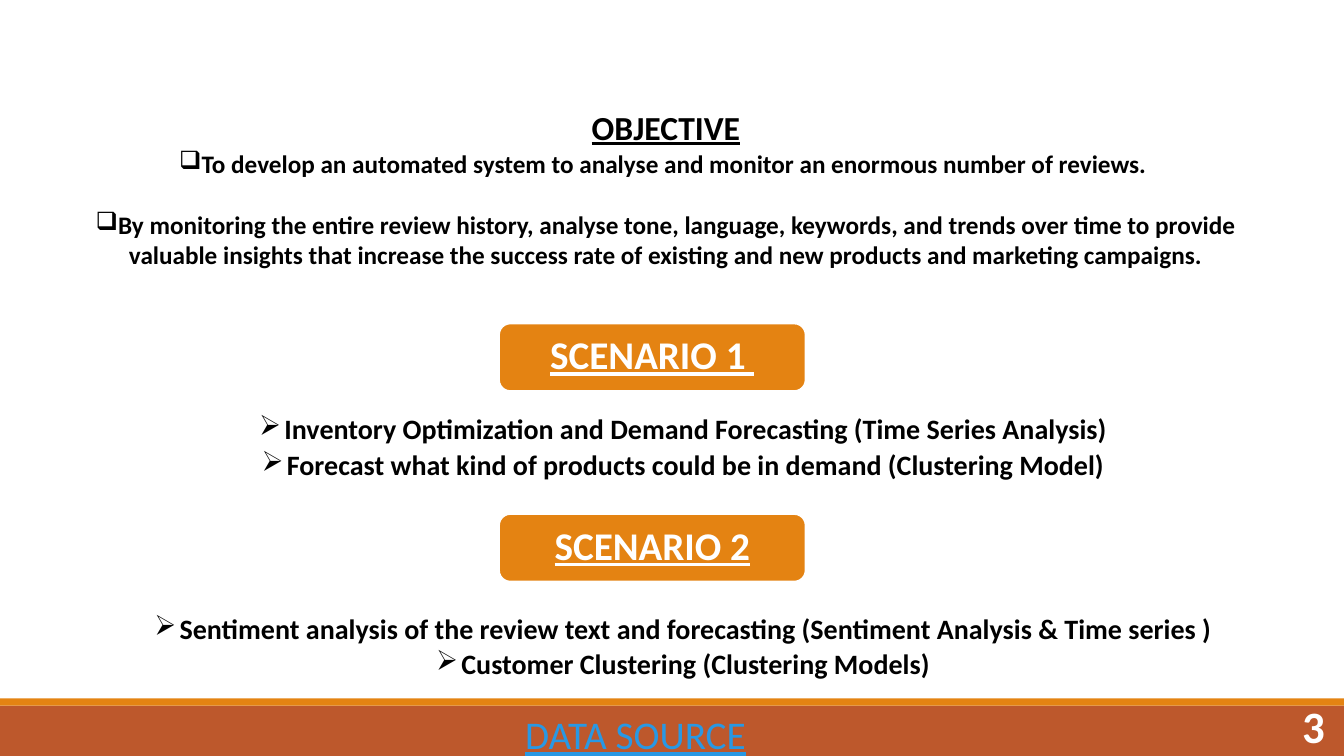
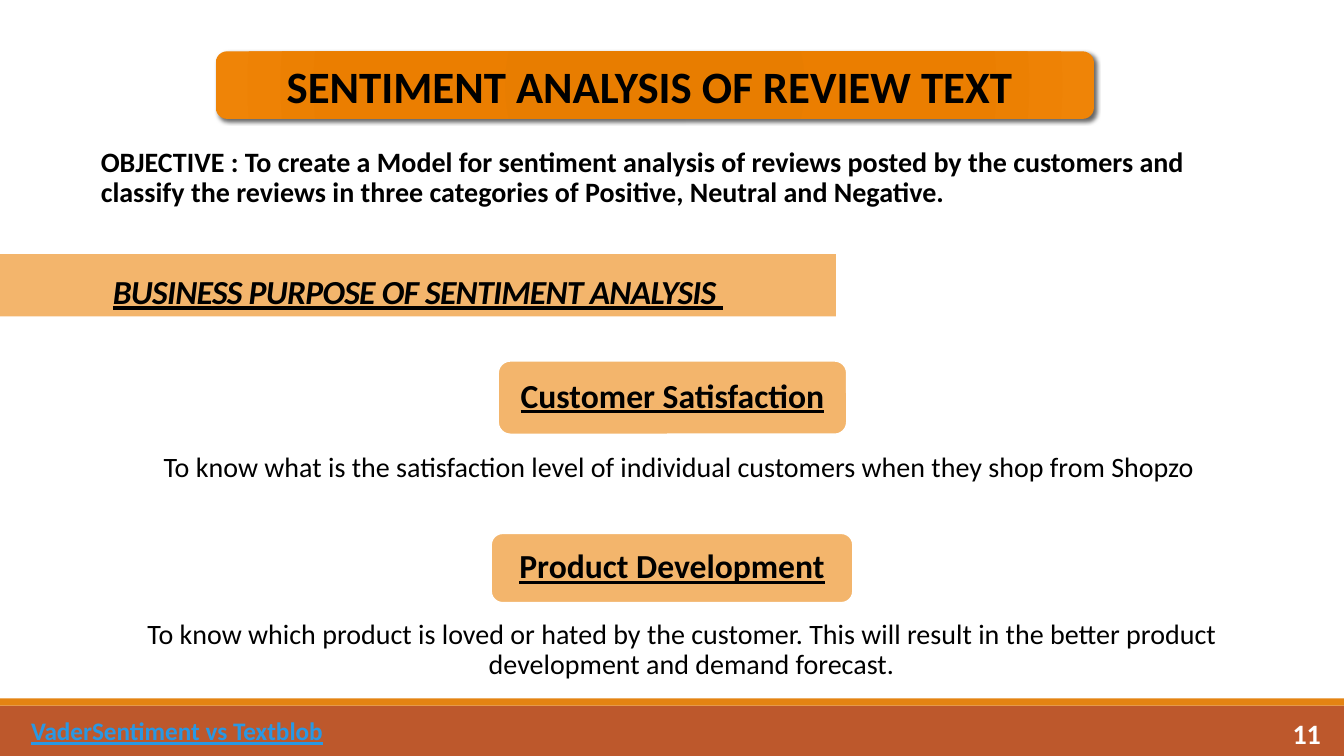
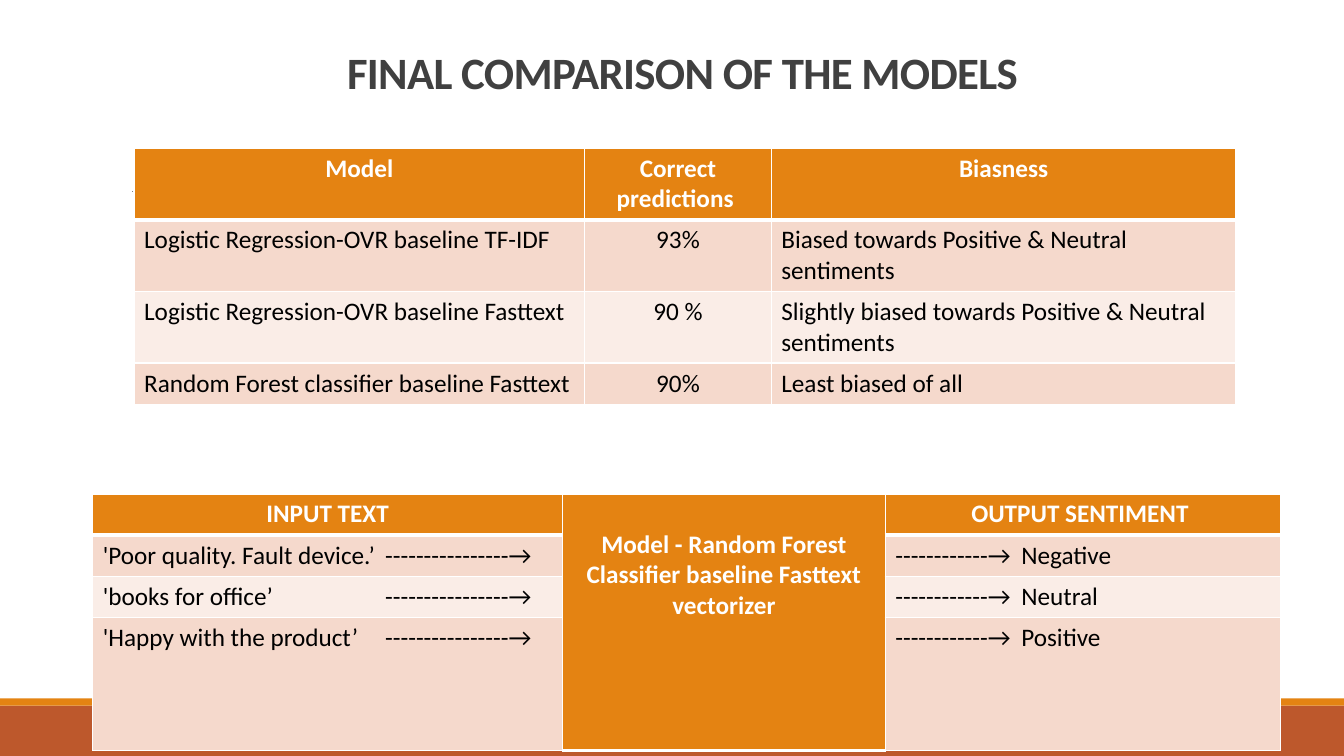
from dataclasses import dataclass

from lxml.etree import SubElement
from pptx import Presentation
from pptx.dml.color import RGBColor
from pptx.enum.shapes import MSO_CONNECTOR, MSO_SHAPE
from pptx.enum.text import MSO_ANCHOR, PP_ALIGN
from pptx.oxml import parse_xml
from pptx.oxml.ns import nsdecls, qn
from pptx.util import Inches, Pt


@dataclass(frozen=True)
class Theme:
    font: str = "Calibri"
    black: str = "000000"
    white: str = "FFFFFF"
    heading: str = "404040"
    rule: str = "808080"
    link: str = "2998E3"
    orange: str = "E48312"
    light_orange: str = "F3B56C"
    rust: str = "BD582C"
    odd_row: str = "F5D9CC"
    even_row: str = "FAEDE7"
    hero_stops: tuple = ((0, "E57B00"), (34, "E87D00"), (70, "EB7E00"), (100, "EF8407"))
    title: int = 32
    badge: int = 28
    subtitle: int = 24
    body: int = 20
    small: int = 18


THEME = Theme()


@dataclass(frozen=True)
class Style:
    size: int
    color: str = THEME.black
    bold: bool = False
    italic: bool = False
    underline: bool = False
    tracking: float = 0


def format_paragraph(paragraph, style, align=PP_ALIGN.LEFT, line_spacing=1.0):
    paragraph.alignment = align
    paragraph.line_spacing = line_spacing
    for run in paragraph.runs:
        font = run.font
        font.name = THEME.font
        font.size = Pt(style.size)
        font.color.rgb = RGBColor.from_string(style.color)
        font.bold = style.bold
        font.italic = style.italic
        font.underline = style.underline
        if style.tracking:
            font._element.set("spc", str(int(style.tracking * 100)))


def fill_text(shape, lines, style, align=PP_ALIGN.LEFT, anchor=MSO_ANCHOR.TOP,
              line_spacing=1.0, insets=(0.1, 0.05, 0.1, 0.05)):
    frame = shape.text_frame
    frame.text = "\n".join(lines)
    frame.word_wrap = True
    frame.vertical_anchor = anchor
    frame.margin_left, frame.margin_top, frame.margin_right, frame.margin_bottom = map(Inches, insets)
    for paragraph in frame.paragraphs:
        format_paragraph(paragraph, style, align, line_spacing)
    return frame.paragraphs


def set_bullet(paragraph, character):
    SubElement(paragraph._p.get_or_add_pPr(), qn("a:buChar")).set("char", character)


def set_hanging(paragraph, indent):
    properties = paragraph._p.get_or_add_pPr()
    properties.set("marL", str(Inches(indent)))
    properties.set("indent", str(-Inches(indent)))


def add_text(slide, box, lines, style, **options):
    shape = slide.shapes.add_textbox(*map(Inches, box))
    return fill_text(shape, lines, style, **options)


def add_block(slide, kind, box, color, outline=None):
    shape = slide.shapes.add_shape(kind, *map(Inches, box))
    shape.shadow.inherit = False
    shape.fill.solid()
    shape.fill.fore_color.rgb = RGBColor.from_string(color)
    if outline:
        shape.line.color.rgb = RGBColor.from_string(outline)
        shape.line.width = Pt(1.25)
    else:
        shape.line.fill.background()
    return shape


def add_badge(slide, box, text, color, style):
    shape = add_block(slide, MSO_SHAPE.ROUNDED_RECTANGLE, box, color, THEME.white)
    fill_text(shape, [text], style, align=PP_ALIGN.CENTER, anchor=MSO_ANCHOR.MIDDLE, line_spacing=0.9)


def add_details(slide, box, lines, style, bullet=None):
    paragraphs = add_text(slide, box, lines, style, align=PP_ALIGN.CENTER,
                          line_spacing=0.9, insets=(0.37, 0.03, 0.16, 0.03))
    for paragraph in paragraphs:
        paragraph.space_after = Pt(4)
        set_hanging(paragraph, 0.25)
        if bullet:
            set_bullet(paragraph, bullet)


def add_hero(slide, box, text, style):
    shape = add_block(slide, MSO_SHAPE.ROUNDED_RECTANGLE, box, THEME.orange)
    fill_text(shape, [text], style, align=PP_ALIGN.CENTER, anchor=MSO_ANCHOR.MIDDLE)
    stops = "".join(
        f'<a:gs pos="{position * 1000}"><a:srgbClr val="{color}"/></a:gs>'
        for position, color in THEME.hero_stops
    )
    gradient = parse_xml(
        f'<a:gradFill {nsdecls("a")}><a:gsLst>{stops}</a:gsLst><a:path path="circle">'
        '<a:fillToRect l="100000" t="100000" r="100000" b="100000"/></a:path></a:gradFill>'
    )
    shadow = parse_xml(
        f'<a:outerShdw {nsdecls("a")} blurRad="{Pt(3)}" dist="{Pt(2)}" dir="2700000">'
        f'<a:srgbClr val="{THEME.black}"><a:alpha val="60000"/></a:srgbClr></a:outerShdw>'
    )
    properties = shape.element.spPr
    properties.replace(properties.find(qn("a:solidFill")), gradient)
    properties.find(qn("a:effectLst")).append(shadow)


def set_title(slide, box, text, style, line_spacing=0.85, anchor=MSO_ANCHOR.BOTTOM):
    title = slide.shapes.title
    title.left, title.top, title.width, title.height = map(Inches, box)
    fill_text(title, [text], style, align=PP_ALIGN.CENTER, anchor=anchor, line_spacing=line_spacing)
    return title


def add_number(slide, box, number, size):
    add_text(slide, box, [number], Style(size, THEME.white, bold=True),
             align=PP_ALIGN.RIGHT, anchor=MSO_ANCHOR.MIDDLE)


def add_rule(slide, left, right, top):
    line = slide.shapes.add_connector(
        MSO_CONNECTOR.STRAIGHT, Inches(left), Inches(top), Inches(right), Inches(top))
    line.line.color.rgb = RGBColor.from_string(THEME.rule)
    line.line.width = Pt(0.5)
    SubElement(line.element.spPr, qn("a:effectLst"))


def set_borders(cell, bottom_width):
    properties = cell._tc.get_or_add_tcPr()
    for side, width in (("L", 1), ("R", 1), ("T", 1), ("B", bottom_width)):
        properties.append(parse_xml(
            f'<a:ln{side} {nsdecls("a")} w="{Pt(width)}"><a:solidFill>'
            f'<a:srgbClr val="{THEME.white}"/></a:solidFill></a:ln{side}>'))


def add_grid(slide, left, top, widths, heights, rows, centered=(), tab_stops=None):
    frame = slide.shapes.add_table(
        len(rows), len(widths), Inches(left), Inches(top),
        Inches(sum(widths)), Inches(sum(heights)))
    table = frame.table
    for column, width in zip(table.columns, widths):
        column.width = Inches(width)
    for row, height in zip(table.rows, heights):
        row.height = Inches(height)
    for row_index, row in enumerate(rows):
        header = row_index == 0
        style = Style(THEME.small, THEME.white if header else THEME.black, bold=header)
        color = THEME.orange if header else (THEME.even_row, THEME.odd_row)[row_index % 2]
        for column_index, text in enumerate(row):
            cell = table.cell(row_index, column_index)
            set_borders(cell, 3 if header else 1)
            cell.fill.solid()
            cell.fill.fore_color.rgb = RGBColor.from_string(color)
            cell.text = text
            paragraph = cell.text_frame.paragraphs[0]
            align = PP_ALIGN.CENTER if header or column_index in centered else PP_ALIGN.LEFT
            format_paragraph(paragraph, style, align)
            if "\t" in text:
                stops = SubElement(paragraph._p.get_or_add_pPr(), qn("a:tabLst"))
                stop = SubElement(stops, qn("a:tab"))
                stop.set("pos", str(Inches(tab_stops[column_index])))
                stop.set("algn", "l")
    return table


def add_master_bands(presentation, slide):
    bands = (((0, 7, 13.33, 0.5), THEME.rust), ((0, 6.93, 13.33, 0.07), THEME.orange))
    for index, (box, color) in enumerate(bands):
        band = add_block(slide, MSO_SHAPE.RECTANGLE, box, color)
        band.element.nvSpPr.cNvPr.set("id", str(100 + index))
        presentation.slide_master.shapes.element.append(band.element)


def build_objective(slide):
    set_title(slide, (0.7, 1.01, 11.81, 0.5), "OBJECTIVE",
              Style(THEME.subtitle, bold=True, underline=True),
              line_spacing=1.0, anchor=MSO_ANCHOR.TOP)
    goals = add_text(slide, (0.7, 1.42, 11.81, 1.32), [
        "To develop an automated system to analyse and monitor an enormous number of reviews. ",
        "By monitoring the entire review history, analyse tone, language, keywords, and trends over "
        "time to provide valuable insights that increase the success rate of existing and new "
        "products and marketing campaigns.",
    ], Style(THEME.small, bold=True), align=PP_ALIGN.CENTER)
    for goal in goals:
        set_hanging(goal, 0)
        set_bullet(goal, "❑")
    goals[1].space_before = Pt(22)

    scenarios = (
        ("SCENARIO 1 ", 3.21, 4.09, (
            "Inventory Optimization and Demand Forecasting (Time Series Analysis)",
            "Forecast what kind of products could be in demand (Clustering Model)")),
        ("SCENARIO 2", 5.1, 6.07, (
            "Sentiment analysis of the review text and forecasting (Sentiment Analysis & Time series )",
            "Customer Clustering (Clustering Models)")),
    )
    badge_style = Style(THEME.badge, THEME.white, bold=True, underline=True)
    for name, badge_top, details_top, details in scenarios:
        add_badge(slide, (4.95, badge_top, 3.04, 0.67), name, THEME.orange, badge_style)
        add_details(slide, (0.82, details_top, 11.7, 0.81), details,
                    Style(THEME.body, bold=True), bullet="➢")
    add_text(slide, (5.11, 7, 2.43, 0.57), ["DATA SOURCE"],
             Style(THEME.badge, THEME.link, underline=True))
    add_number(slide, (11.81, 7, 1.43, 0.4), "3", THEME.title)


def build_sentiment(slide):
    add_hero(slide, (2.14, 0.51, 8.71, 0.67), "SENTIMENT ANALYSIS OF REVIEW TEXT ",
             Style(THEME.title, bold=True))
    add_text(slide, (1, 1.42, 11.34, 0.77), [
        "OBJECTIVE : To create a Model for sentiment analysis of reviews posted by the customers "
        "and classify the reviews in three categories of Positive, Neutral and Negative.",
    ], Style(THEME.body, bold=True), line_spacing=0.9, insets=(0, 0.05, 0, 0.05))
    title = set_title(slide, (0, 2.52, 8.29, 0.62), "BUSINESS PURPOSE OF SENTIMENT ANALYSIS ",
                      Style(THEME.subtitle, bold=True, italic=True, underline=True, tracking=-0.5))
    title.fill.solid()
    title.fill.fore_color.rgb = RGBColor.from_string(THEME.light_orange)

    purposes = (
        ("Customer Satisfaction", (4.94, 3.58, 3.46, 0.73), 4.47,
         "To know what is the satisfaction level of individual customers when they shop from Shopzo "),
        ("Product Development", (4.87, 5.29, 3.59, 0.69), 6.12,
         "To know which product is loved or hated by the customer. This will result in the better "
         "product development and demand forecast. "),
    )
    for name, box, details_top, details in purposes:
        add_badge(slide, box, name, THEME.light_orange,
                  Style(THEME.subtitle, bold=True, underline=True))
        add_details(slide, (0.64, details_top, 12.04, 0.7), [details], Style(THEME.body))
    add_text(slide, (0.21, 7.05, 3.4, 0.4), ["VaderSentiment vs Textblob"],
             Style(THEME.small, THEME.link, bold=True, underline=True))
    add_number(slide, (11.77, 7.07, 1.43, 0.4), "11", THEME.body)


def build_comparison(slide):
    set_title(slide, (2.19, 0.47, 9.25, 0.56), "FINAL COMPARISON OF THE MODELS ",
              Style(THEME.title, THEME.heading, bold=True, tracking=-0.5))
    add_rule(slide, 1.31, 12.21, 1.9)
    add_grid(slide, 1.33, 1.47, (4.47, 1.85, 4.61), (0.71, 0.71, 0.71, 0.41), (
        ("Model", "Correct predictions ", "Biasness"),
        ("Logistic Regression-OVR baseline TF-IDF", "93%",
         "Biased towards Positive & Neutral sentiments"),
        ("Logistic Regression-OVR baseline Fasttext", "90 %",
         "Slightly biased towards Positive & Neutral sentiments"),
        ("Random Forest classifier baseline Fasttext", "90%", "Least biased of all"),
    ), centered=(1,))

    input_arrow = "\t----------------→"
    output_arrow = "------------→\t"
    samples = (
        ("'Poor quality. Fault device.’", "Negative"),
        ("'books for office’", "Neutral"),
        ("'Happy with the product’", "Positive"),
    )
    header = ("INPUT TEXT", "Model - Random Forest Classifier baseline Fasttext vectorizer",
              "OUTPUT SENTIMENT ")
    rows = [header] + [(text + input_arrow, "", output_arrow + label) for text, label in samples]
    table = add_grid(slide, 0.92, 4.9, (4.66, 3.2, 3.92), (0.41, 0.41, 0.41, 1.31), rows,
                     tab_stops={0: 2.8, 2: 1.25})
    model_cell = table.cell(0, 1)
    model_cell.merge(table.cell(len(samples), 1))
    model_cell.margin_top = Inches(0.35)


def main():
    presentation = Presentation()
    presentation.slide_width = Inches(13.33)
    presentation.slide_height = Inches(7.5)
    title_only = presentation.slide_layouts[5]
    builders = (build_objective, build_sentiment, build_comparison)
    slides = [presentation.slides.add_slide(title_only) for _ in builders]
    add_master_bands(presentation, slides[0])
    for build, slide in zip(builders, slides):
        build(slide)
    presentation.save("out.pptx")


if __name__ == "__main__":
    main()
